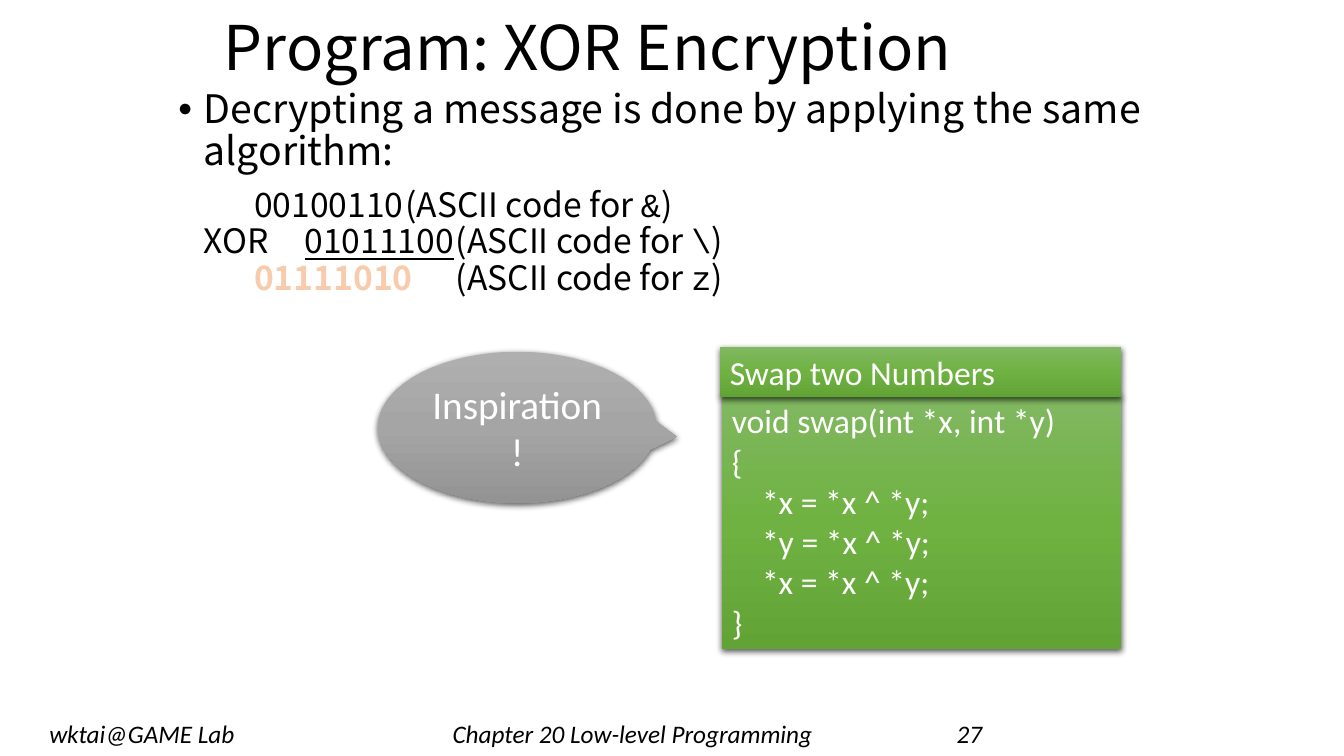
from typing import NamedTuple

from lxml import etree
from pptx import Presentation
from pptx.dml.color import RGBColor
from pptx.enum import shapes, text
from pptx.oxml import ns
from pptx.util import Inches, Pt

BLACK = RGBColor(0x00, 0x00, 0x00)
WHITE = RGBColor(0xFF, 0xFF, 0xFF)
PEACH = RGBColor(0xF8, 0xCB, 0xAD)
ORANGE = RGBColor(0xED, 0x7D, 0x31)
GREENS = (RGBColor(0x81, 0xB8, 0x61), RGBColor(0x6F, 0xB2, 0x42), RGBColor(0x62, 0xA3, 0x36))
GRAYS = (RGBColor(0xAF, 0xAF, 0xAF), RGBColor(0xA5, 0xA5, 0xA5), RGBColor(0x93, 0x93, 0x93))
SANS, PLAIN, MONO = "Noto Sans CJK SC", "Calibri", "Courier New"


class Box(NamedTuple):
    left: float
    top: float
    width: float
    height: float


class BitRow(NamedTuple):
    operator: str
    bits: str
    character: str
    note_stop: float
    underline: bool = False
    result: bool = False


class Panel(NamedTuple):
    preset: shapes.MSO_SHAPE
    box: Box
    colors: tuple[RGBColor, ...]
    lines: tuple[str, ...]
    size: int = 24
    indented: tuple[int, ...] = ()
    centered: bool = False


BIT_ROWS = (
    BitRow("", "00100110", "&", 2.85),
    BitRow("XOR", "01011100", "\\", 2.85, underline=True),
    BitRow("", "01111010", "z", 2.94, result=True),
)
SWAP_CODE = ("void swap(int *x, int *y)", "{", "*x = *x ^ *y;", "*y = *x ^ *y;",
             "*x = *x ^ *y;", "}")
PANELS = (
    Panel(shapes.MSO_SHAPE.RECTANGLE, Box(7.16, 3.92, 3.96, 2.52), GREENS, SWAP_CODE,
          indented=(2, 3, 4)),
    Panel(shapes.MSO_SHAPE.RECTANGLE, Box(7.14, 3.44, 3.98, 0.5), GREENS,
          ("Swap two Numbers",)),
    Panel(shapes.MSO_SHAPE.OVAL_CALLOUT, Box(3.75, 3.49, 2.76, 1.5), GRAYS,
          ("Inspiration!",), size=28, centered=True),
)


def add_xml(parent, tag: str, **attributes):
    values = {name: str(value) for name, value in attributes.items()}
    return etree.SubElement(parent, ns.qn(tag), values)


def place(shape, box: Box) -> None:
    shape.left, shape.top, shape.width, shape.height = map(Inches, box)


def set_font(font, name: str, size: int, color: RGBColor) -> None:
    font.name, font.size = name, Pt(size)
    font.color.rgb = color


def set_indent(paragraph, margin: float, first: float = 0):
    properties = paragraph._p.get_or_add_pPr()
    properties.set("marL", str(Inches(margin)))
    properties.set("indent", str(Inches(first)))
    return properties


def add_tabs(properties, *stops: float) -> None:
    tabs = add_xml(properties, "a:tabLst")
    for stop in stops:
        add_xml(tabs, "a:tab", pos=Inches(stop), algn="l")


def add_run(paragraph, words: str):
    run = paragraph.add_run()
    run.text = words
    return run


def add_bit_row(frame, row: BitRow, space_before: int) -> None:
    paragraph = frame.add_paragraph()
    paragraph.line_spacing, paragraph.space_before = 0.9, Pt(space_before)
    properties = set_indent(paragraph, 0.25, -0.25)
    add_xml(properties, "a:buNone")
    add_tabs(properties, 1.25, row.note_stop)
    set_font(paragraph.font, SANS, 24, BLACK)
    add_run(paragraph, f"\t{row.operator}\t")
    bits = add_run(paragraph, row.bits)
    if row.underline:
        bits.font.underline = True
    if row.result:
        bits.font.bold = True
        bits.font.color.rgb = PEACH
        outline = etree.Element(ns.qn("a:ln"), w=str(Pt(1.75)))
        add_xml(add_xml(outline, "a:solidFill"), "a:srgbClr", val=ORANGE)
        bits._r.get_or_add_rPr().insert(0, outline)
    add_run(paragraph, "\t(ASCII code for ")
    add_run(paragraph, row.character).font.name = MONO
    add_run(paragraph, ")")


def fill_gradient(shape, colors: tuple[RGBColor, ...]) -> None:
    shape.fill.gradient()
    shape.fill.gradient_angle = 270
    stops = shape._element.spPr.find(".//" + ns.qn("a:gsLst"))
    for stop in list(stops):
        stops.remove(stop)
    for index, color in enumerate(colors):
        stop = add_xml(stops, "a:gs", pos=index * 100000 // (len(colors) - 1))
        add_xml(stop, "a:srgbClr", val=color)


def add_shadow(shape) -> None:
    shape.shadow.inherit = False
    effects = shape._element.spPr.find(ns.qn("a:effectLst"))
    shadow = add_xml(effects, "a:outerShdw", blurRad=Pt(4.5), dist=Pt(1.5),
                     dir=5400000, algn="ctr", rotWithShape=0)
    add_xml(add_xml(shadow, "a:srgbClr", val=BLACK), "a:alpha", val=63000)


def add_panel(slide, panel: Panel):
    shape = slide.shapes.add_shape(panel.preset, *map(Inches, panel.box))
    shape.line.fill.background()
    fill_gradient(shape, panel.colors)
    add_shadow(shape)
    frame = shape.text_frame
    frame.word_wrap = True
    frame.vertical_anchor = text.MSO_ANCHOR.MIDDLE if panel.centered else text.MSO_ANCHOR.TOP
    for index, line in enumerate(panel.lines):
        paragraph = frame.add_paragraph() if index else frame.paragraphs[0]
        paragraph.text = line
        paragraph.alignment = text.PP_ALIGN.CENTER if panel.centered else text.PP_ALIGN.LEFT
        if index in panel.indented:
            set_indent(paragraph, 0.3)
        set_font(paragraph.font, PLAIN, panel.size, WHITE)
    return shape


presentation = Presentation()
presentation.slide_width, presentation.slide_height = Inches(13.33), Inches(7.5)
slide = presentation.slides.add_slide(presentation.slide_layouts[1])

# Title
title = slide.shapes.title
place(title, Box(2.12, 0.02, 9, 0.97))
title.text_frame.text = "Program: XOR Encryption"
title.text_frame.auto_size = text.MSO_AUTO_SIZE.NONE
title.text_frame.vertical_anchor = text.MSO_ANCHOR.MIDDLE
heading = title.text_frame.paragraphs[0]
heading.alignment, heading.line_spacing = text.PP_ALIGN.LEFT, 0.9
set_font(heading.font, SANS, 44, BLACK)

# Explanation and bit rows
body = slide.placeholders[1]
place(body, Box(1.67, 0.84, 10, 2.91))
frame = body.text_frame
frame.auto_size = text.MSO_AUTO_SIZE.NONE
explanation = frame.paragraphs[0]
explanation.text = "Decrypting a message is done by applying the same algorithm:"
explanation.line_spacing, explanation.space_before = 0.9, Pt(10)
add_xml(set_indent(explanation, 0.25, -0.25), "a:buChar", char="•")
set_font(explanation.font, SANS, 28, BLACK)
for index, row in enumerate(BIT_ROWS):
    add_bit_row(frame, row, space_before=0 if index else 10)

# Swap code, its header and the callout
for panel in PANELS:
    shape = add_panel(slide, panel)
    if panel.preset == shapes.MSO_SHAPE.OVAL_CALLOUT:
        shape.adjustments[0], shape.adjustments[1] = 0.574, 0.062

# Footer
footer = slide.shapes.add_textbox(*map(Inches, Box(0.39, 7.08, 9.59, 0.4)))
footer.text_frame.word_wrap = True
credit = footer.text_frame.paragraphs[0]
credit.text = "wktai@GAME Lab\tChapter 20 Low-level Programming\t27"
add_tabs(credit._p.get_or_add_pPr(), 4, 9)
set_font(credit.font, PLAIN, 18, BLACK)
credit.font.italic = True

presentation.save("out.pptx")
